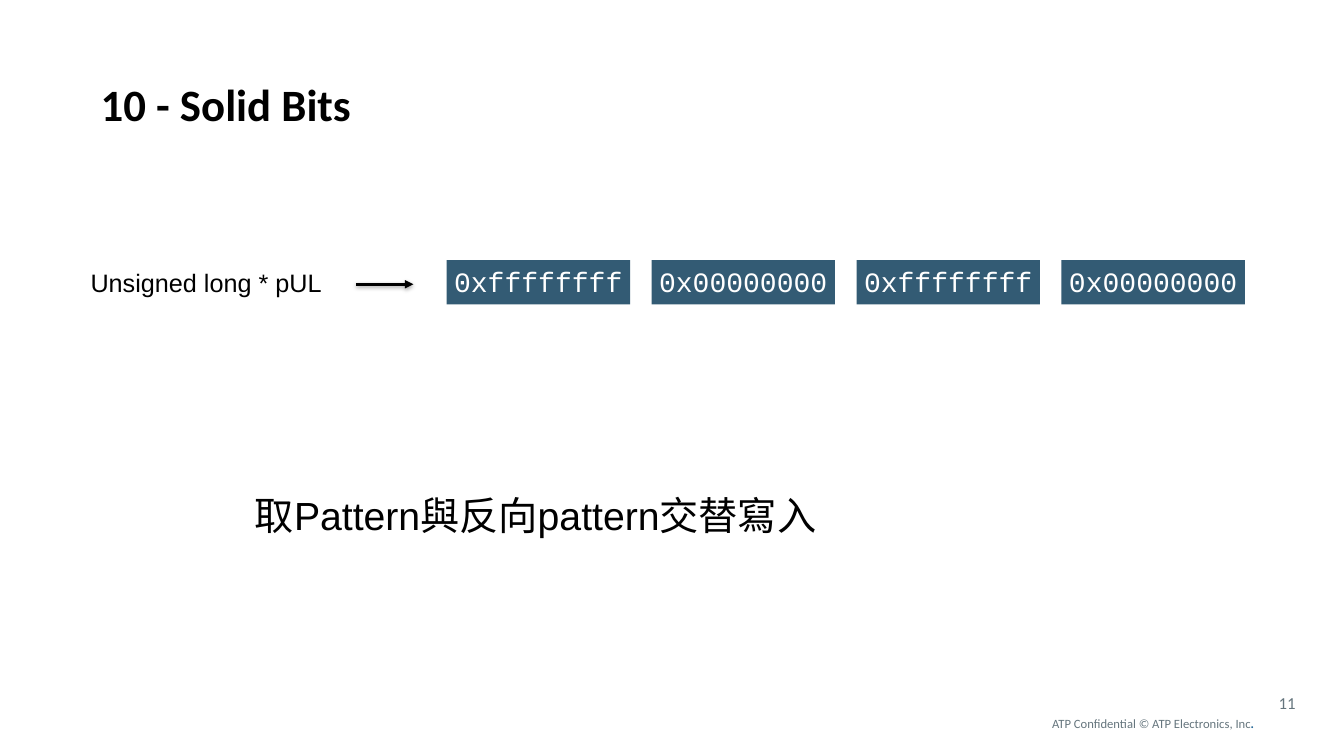
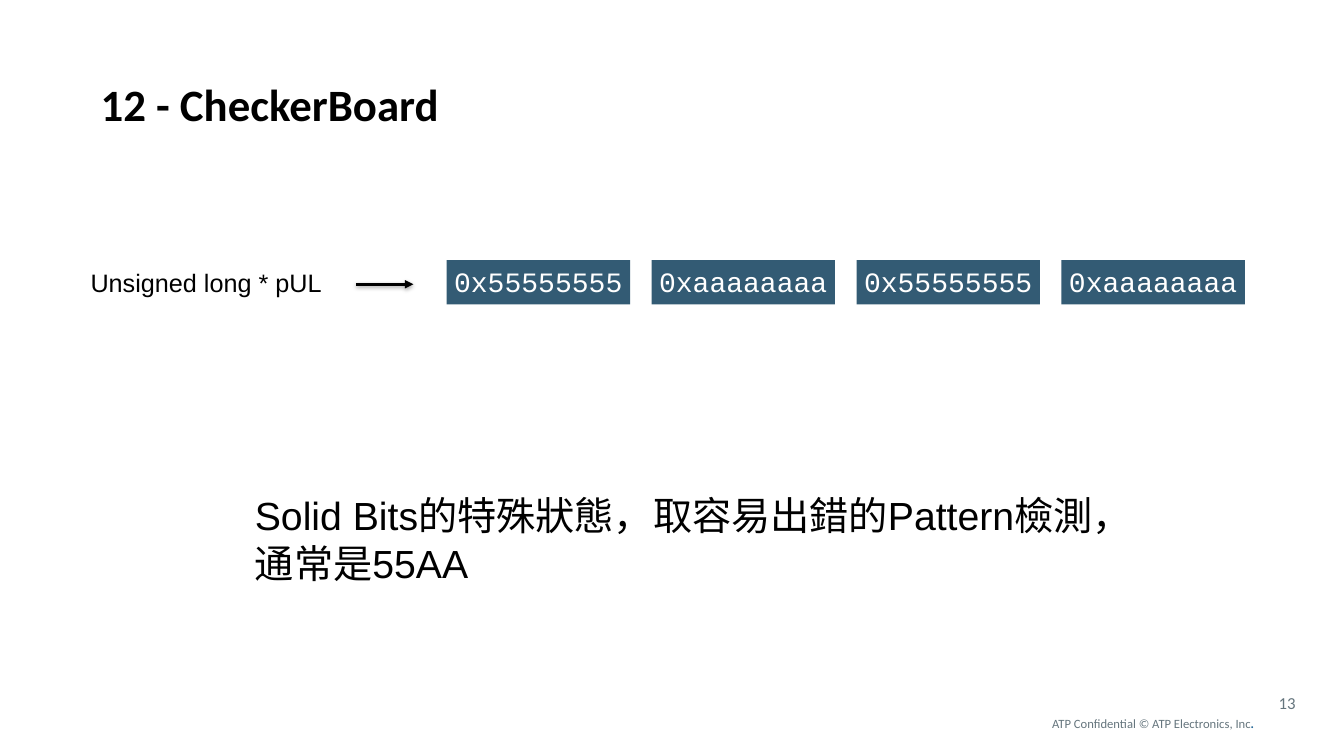
import dataclasses
import typing

import pptx
import pptx.dml.color
import pptx.enum.shapes
import pptx.enum.text
import pptx.oxml
import pptx.util

WIDTH = pptx.util.Inches(13.33)
HEIGHT = pptx.util.Inches(7.5)
BLACK, WHITE, SLATE, GREY, BLUE = "000000", "FFFFFF", "335B74", "65757D", "1D6294"
LEFT = pptx.enum.text.PP_ALIGN.LEFT
CENTER = pptx.enum.text.PP_ALIGN.CENTER
RIGHT = pptx.enum.text.PP_ALIGN.RIGHT
TOP = pptx.enum.text.MSO_ANCHOR.TOP
MIDDLE = pptx.enum.text.MSO_ANCHOR.MIDDLE

WORD_COUNT = 4
WORD_PITCH = 15.25
NOTE_LINE = 6.27
NS = "http://schemas.openxmlformats.org/drawingml/2006/main"
TAIL_XML = f'<a:tailEnd xmlns:a="{NS}" type="triangle"/>'
SHADOW_XML = (
    f'<a:effectLst xmlns:a="{NS}">'
    '<a:outerShdw blurRad="39370" dist="20320" dir="5400000" rotWithShape="0">'
    '<a:srgbClr val="000000"><a:alpha val="38000"/></a:srgbClr>'
    "</a:outerShdw></a:effectLst>"
)


class Area(typing.NamedTuple):
    """Shares of the slide's width and height, in percent."""

    left: float
    top: float
    width: float
    height: float


class Style(typing.NamedTuple):
    font: dict[str, typing.Any]
    color: str
    align: typing.Any = LEFT
    anchor: typing.Any = TOP
    wrap: bool = True


@dataclasses.dataclass(frozen=True)
class PatternSlide:
    number: int
    title: str
    pattern: str
    inverse: str
    note: str
    note_lines: int = 1


TITLE_AREA = Area(6.75, 9.47, 76.57, 8.53)
LABEL_AREA = Area(6, 34.67, 19.05, 5.33)
WORD_AREA = Area(33.23, 34.4, 13.65, 5.87)
NOTE_AREA = Area(18.23, 64.4, 64.44, 7.6)
FOOTER_AREA = Area(77.55, 94, 18.53, 3.33)
NUMBER_AREA = Area(91.8, 90.4, 5.33, 5.2)
ARROW_START, ARROW_END, ARROW_Y = 26.48, 30.76, 37.6


def font(name: str, size: float, bold: bool = False) -> dict[str, typing.Any]:
    return {"name": name, "size": pptx.util.Pt(size), "bold": bold}


TITLE = Style(font("Calibri", 32, True), BLACK)
LABEL = Style(font("Arial", 18), BLACK)
NOTE = Style(font("Arial", 28), BLACK)
WORD = Style(font("Courier New", 20), WHITE, CENTER, wrap=False)
FOOTER = Style(font("Calibri", 9), GREY)
FOOTER_STOP = Style(font("Calibri", 9, True), BLUE)
NUMBER = Style(font("Calibri", 12), GREY, RIGHT, MIDDLE)

SLIDES = [
    PatternSlide(11, "10 - Solid Bits", "0xffffffff", "0x00000000",
                 "取Pattern與反向pattern交替寫入"),
    PatternSlide(13, "12 - CheckerBoard", "0x55555555", "0xaaaaaaaa",
                 "Solid Bits的特殊狀態，取容易出錯的Pattern檢測，通常是55AA", 2),
]


def rgb(value: str) -> pptx.dml.color.RGBColor:
    return pptx.dml.color.RGBColor.from_string(value)


def x(share: float) -> int:
    return round(WIDTH * share / 100)


def y(share: float) -> int:
    return round(HEIGHT * share / 100)


def place(area: Area) -> tuple[int, int, int, int]:
    return x(area.left), y(area.top), x(area.width), y(area.height)


def add_run(p: typing.Any, text: str, style: Style) -> None:
    r = p.add_run()
    r.text = text
    for name, value in style.font.items():
        setattr(r.font, name, value)
    r.font.color.rgb = rgb(style.color)


def write(sp: typing.Any, text: str, style: Style) -> typing.Any:
    tf = sp.text_frame
    tf.word_wrap = style.wrap
    tf.vertical_anchor = style.anchor
    p = tf.paragraphs[0]
    p.alignment = style.align
    add_run(p, text, style)
    return p


def add_text(s: typing.Any, area: Area, text: str, style: Style) -> typing.Any:
    return write(s.shapes.add_textbox(*place(area)), text, style)


def add_word(s: typing.Any, area: Area, text: str) -> None:
    sp = s.shapes.add_shape(pptx.enum.shapes.MSO_SHAPE.RECTANGLE, *place(area))
    sp.shadow.inherit = False
    sp.fill.solid()
    sp.fill.fore_color.rgb = rgb(SLATE)
    sp.line.fill.background()
    write(sp, text, WORD)


def add_arrow(s: typing.Any) -> None:
    sp = s.shapes.add_connector(pptx.enum.shapes.MSO_CONNECTOR.STRAIGHT,
                                x(ARROW_START), y(ARROW_Y), x(ARROW_END), y(ARROW_Y))
    sp.line.width = pptx.util.Pt(2)
    sp.line.color.rgb = rgb(BLACK)
    sp.line._get_or_add_ln().append(pptx.oxml.parse_xml(TAIL_XML))
    sp._element.spPr.append(pptx.oxml.parse_xml(SHADOW_XML))


def add_footer(s: typing.Any, number: int) -> None:
    p = add_text(s, FOOTER_AREA, "ATP Confidential © ATP Electronics, Inc", FOOTER)
    add_run(p, ".", FOOTER_STOP)
    add_text(s, NUMBER_AREA, str(number), NUMBER)


def add_pattern_slide(prs: typing.Any, page: PatternSlide) -> None:
    s = prs.slides.add_slide(prs.slide_layouts[6])
    add_footer(s, page.number)
    add_text(s, TITLE_AREA, page.title, TITLE)
    for i in range(WORD_COUNT):
        area = WORD_AREA._replace(left=WORD_AREA.left + i * WORD_PITCH)
        add_word(s, area, page.inverse if i % 2 else page.pattern)
    add_text(s, LABEL_AREA, "Unsigned long * pUL", LABEL)
    add_arrow(s)
    height = NOTE_AREA.height + (page.note_lines - 1) * NOTE_LINE
    add_text(s, NOTE_AREA._replace(height=height), page.note, NOTE)


def main() -> None:
    prs = pptx.Presentation()
    prs.slide_width, prs.slide_height = WIDTH, HEIGHT
    for page in SLIDES:
        add_pattern_slide(prs, page)
    prs.save("out.pptx")


if __name__ == "__main__":
    main()
